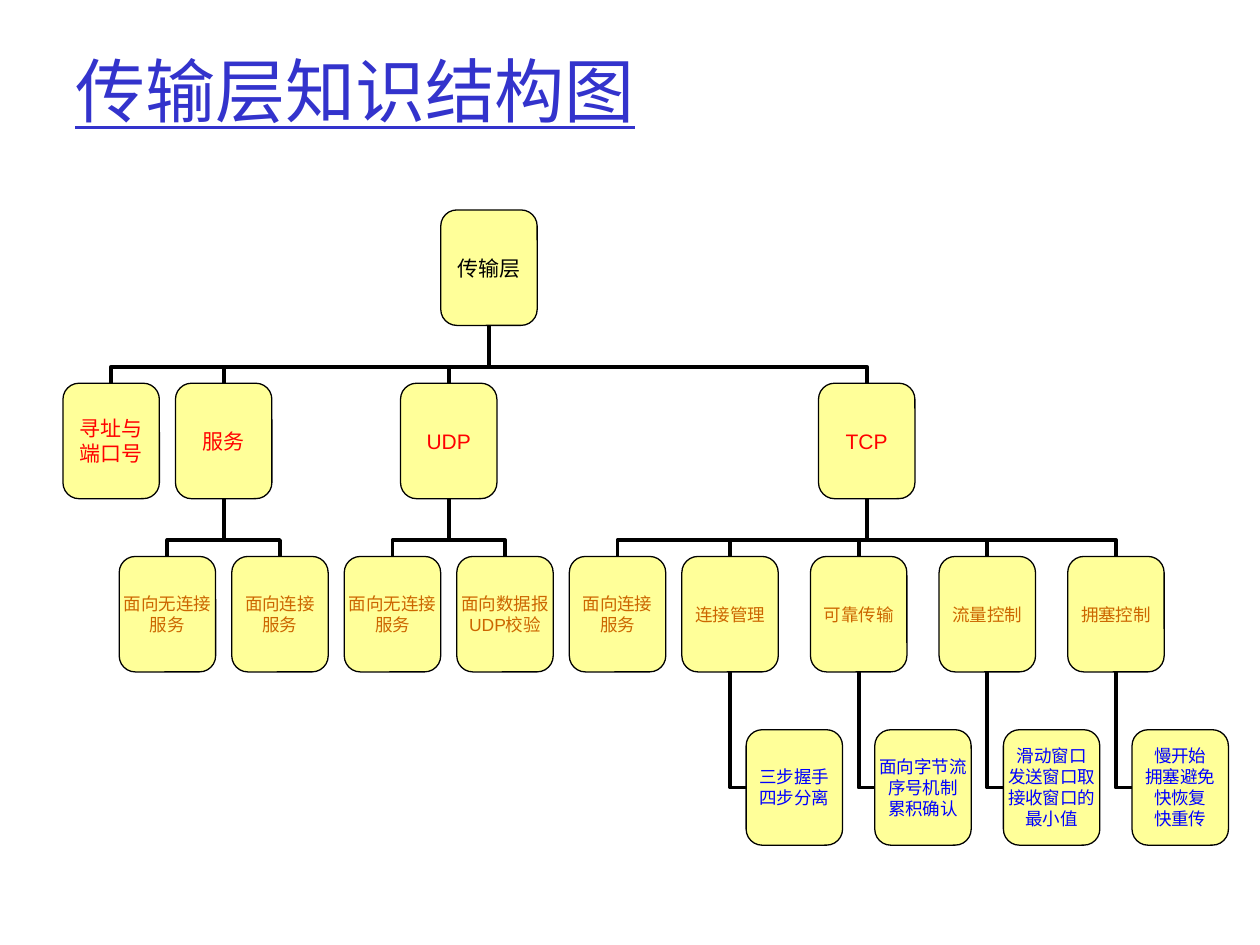
from dataclasses import dataclass, field
from typing import Iterator

from lxml.etree import SubElement
from pptx import Presentation
from pptx.dml.color import RGBColor
from pptx.enum.shapes import MSO_CONNECTOR, MSO_SHAPE
from pptx.enum.text import MSO_ANCHOR, PP_ALIGN
from pptx.oxml.ns import qn
from pptx.slide import Slide
from pptx.text.text import TextFrame
from pptx.util import Pt

COLOURS = {
    "title": "3333CC", "box": "FFFF99", "line": "000000",
    "root": "000000", "topic": "FF0000", "point": "CC6600", "detail": "0000FF",
}
LEVEL_STYLES = [("root", 12), ("topic", 12), ("point", 10), ("detail", 10)]

BOX_WIDTH, BOX_HEIGHT = 55.1, 66
TOP, ROW_STEP = 120, 99
FIRST_POINT, COLUMN_STEP, WIDE_STEP = 68.15, 64.3, 73.5
HANG_OFFSET = WIDE_STEP / 2
ELBOW_BEND = 28400  # share of the drop, in thousandths of a percent


@dataclass
class Node:
    label: str
    children: list["Node"] = field(default_factory=list)
    left: float | None = None
    level: int = 0

    @property
    def top(self) -> float:
        return TOP + self.level * ROW_STEP

    @property
    def centre(self) -> float:
        return self.left + BOX_WIDTH / 2

    @property
    def bottom(self) -> float:
        return self.top + BOX_HEIGHT


TREE = Node("传输层", [
    Node("寻址与\n端口号", left=36),
    Node("服务", [Node("面向无连接\n服务"), Node("面向连接\n服务")]),
    Node("UDP", [Node("面向无连接\n服务"), Node("面向数据报\nUDP校验")]),
    Node("TCP", [
        Node("面向连接\n服务"),
        Node("连接管理", [Node("三步握手\n四步分离")]),
        Node("可靠传输", [Node("面向字节流\n序号机制\n累积确认")]),
        Node("流量控制", [Node("滑动窗口\n发送窗口取\n接收窗口的\n最小值")]),
        Node("拥塞控制", [Node("慢开始\n拥塞避免\n快恢复\n快重传")]),
    ]),
])


def place(node: Node, cursor: float, level: int = 0) -> float:
    """Set the node's position and return where the next column starts."""
    node.level = level
    if len(node.children) > 1:
        for child in node.children:
            cursor = place(child, cursor, level + 1)
        node.left = (node.children[0].left + node.children[-1].left) / 2
        return cursor
    if node.left is not None:
        return cursor
    node.left = cursor
    for child in node.children:
        child.left, child.level = cursor + HANG_OFFSET, level + 1
    return cursor + (WIDE_STEP if node.children else COLUMN_STEP)


def walk(node: Node) -> Iterator[Node]:
    yield node
    for child in node.children:
        yield from walk(child)


def write(frame: TextFrame, text: str, align: PP_ALIGN, colour: str, formats: dict) -> None:
    frame.vertical_anchor = MSO_ANCHOR.MIDDLE
    for index, line in enumerate(text.split("\n")):
        para = frame.paragraphs[0] if index == 0 else frame.add_paragraph()
        para.alignment = align
        span = para.add_run()
        span.text = line
        for name, value in formats.items():
            setattr(span.font, name, value)
        span.font.color.rgb = RGBColor.from_string(COLOURS[colour])


def draw_title(page: Slide, text: str) -> None:
    box = page.shapes.add_textbox(Pt(36), Pt(0), Pt(594), Pt(102))
    box.text_frame.word_wrap = True
    formats = {"name": "Comic Neue", "size": Pt(40), "underline": True}
    write(box.text_frame, text, PP_ALIGN.LEFT, "title", formats)


def draw_box(page: Slide, node: Node) -> None:
    box = page.shapes.add_shape(
        MSO_SHAPE.ROUNDED_RECTANGLE, Pt(node.left), Pt(node.top), Pt(BOX_WIDTH), Pt(BOX_HEIGHT))
    box.shadow.inherit = False
    box.fill.solid()
    box.fill.fore_color.rgb = RGBColor.from_string(COLOURS["box"])
    box.line.color.rgb = RGBColor.from_string(COLOURS["line"])
    box.line.width = Pt(0.75)
    frame = box.text_frame
    frame.word_wrap = False
    for side in ("left", "top", "right", "bottom"):
        setattr(frame, f"margin_{side}", Pt(0))
    colour, size = LEVEL_STYLES[node.level]
    write(frame, node.label, PP_ALIGN.CENTER, colour, {"name": "Arial", "size": Pt(size)})


def draw_elbow(page: Slide, parent: Node, child: Node) -> None:
    """Link child to parent: an only child from its left side, siblings from the top."""
    hanging = len(parent.children) == 1
    start_x = child.left if hanging else child.centre
    start_y = child.top + BOX_HEIGHT / 2 if hanging else child.top
    across, drop = abs(start_x - parent.centre), start_y - parent.bottom
    middle_x, middle_y = (start_x + parent.centre) / 2, (start_y + parent.bottom) / 2
    width, height = (across, drop) if hanging else (drop, across)
    left, top = middle_x - width / 2, middle_y - height / 2
    link = page.shapes.add_connector(
        MSO_CONNECTOR.ELBOW, Pt(left), Pt(top), Pt(left + width), Pt(top + height))
    link.line.color.rgb = RGBColor.from_string(COLOURS["line"])
    link.line.width = Pt(2.25)

    properties = link._element.spPr
    SubElement(properties, qn("a:effectLst"))
    geometry = properties.find(qn("a:prstGeom"))
    if hanging:
        geometry.set("prst", "bentConnector2")
        turn = {"rot": 180}
    else:
        guides = geometry.find(qn("a:avLst"))
        SubElement(guides, qn("a:gd"), name="adj1", fmla=f"val {ELBOW_BEND}")
        on_right = start_x > parent.centre
        turn = {"rot": 270, "flipV": 1} if on_right else {"rot": 90, "flipH": 1, "flipV": 1}
    turn["rot"] *= 60000
    for name, value in turn.items():
        properties.find(qn("a:xfrm")).set(name, str(value))


def main() -> None:
    deck = Presentation()
    deck.slide_width, deck.slide_height = Pt(720), Pt(540)
    page = deck.slides.add_slide(deck.slide_layouts[6])
    draw_title(page, "传输层知识结构图")
    place(TREE, FIRST_POINT)
    for parent in walk(TREE):
        for child in parent.children:
            draw_elbow(page, parent, child)
    for node in walk(TREE):
        draw_box(page, node)
    deck.save("out.pptx")


if __name__ == "__main__":
    main()
